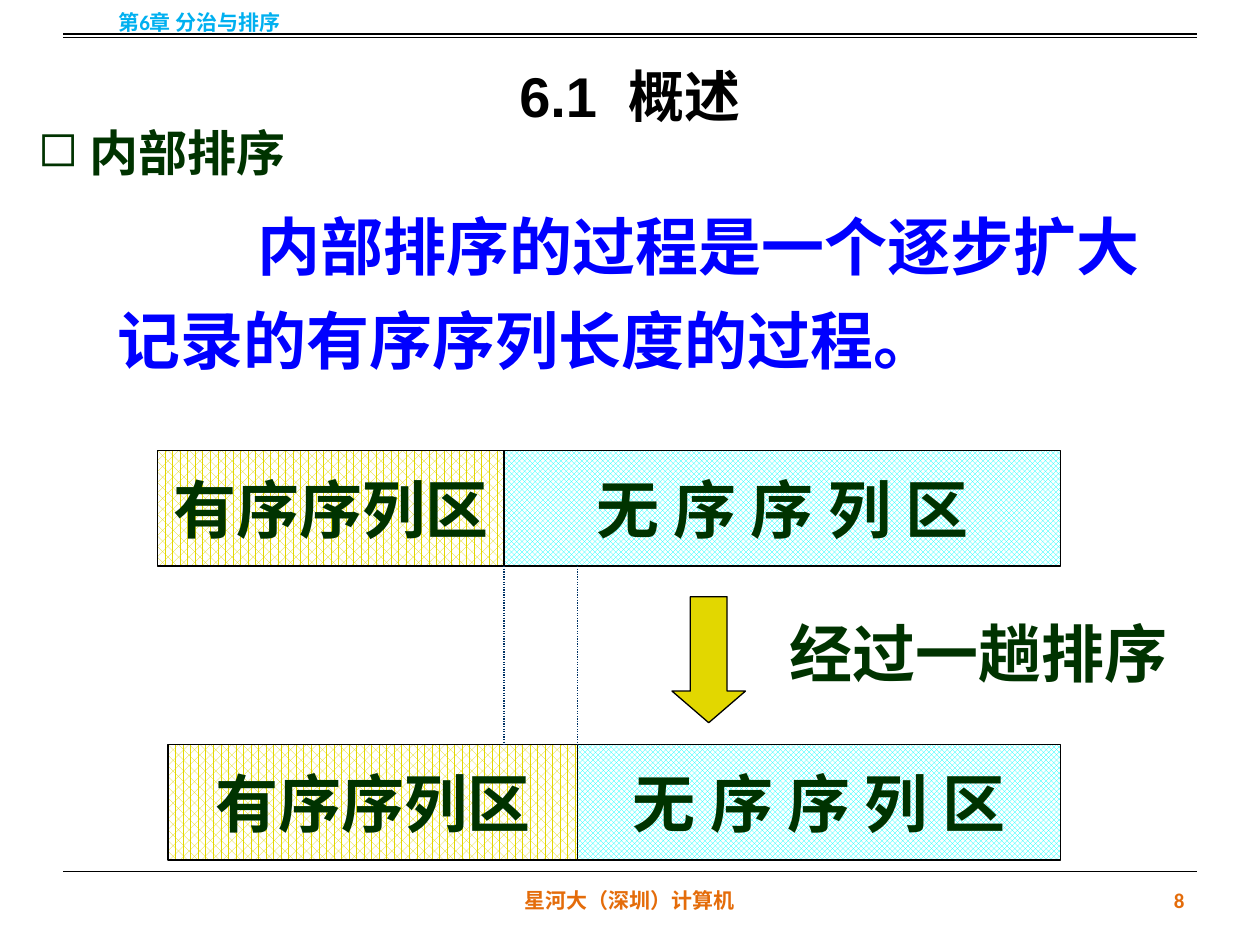
from lxml import etree
from pptx import Presentation
from pptx import util as u
from pptx.dml import color
from pptx.enum import dml, shapes, text
from pptx.oxml import ns

Pt = u.Pt
CJK = "Noto Sans CJK SC"
SERIF = "Times New Roman"
BLACK, GREEN, ORANGE = "000000", "003300", "E46C0A"
AL = text.PP_ALIGN


def rgb(value):
    return color.RGBColor.from_string(value)


def write(sp, content, size=36, font=SERIF, fg=GREEN, align=AL.LEFT,
          anchor=text.MSO_ANCHOR.TOP, wrap=True, spacing=None):
    tf = sp.text_frame
    tf.word_wrap = wrap
    tf.vertical_anchor = anchor
    for i, line in enumerate(content.split("\n")):
        p = tf.add_paragraph() if i else tf.paragraphs[0]
        p.alignment = align
        p.line_spacing = spacing
        r = p.add_run()
        r.text = line
        r.font.size = Pt(size)
        r.font.name = font
        r.font.bold = True
        r.font.color.rgb = rgb(fg)
        ea = etree.SubElement(r.font._element, ns.qn("a:ea"))
        ea.set("typeface", CJK)
    return tf


def add_text(s, x, y, w, h, content, **fmt):
    sp = s.shapes.add_textbox(Pt(x), Pt(y), Pt(w), Pt(h))
    return write(sp, content, **fmt)


def indent(p, margin, first):
    pPr = p._p.get_or_add_pPr()
    pPr.set("marL", str(Pt(margin)))
    pPr.set("indent", str(Pt(first)))
    return pPr


def add_line(s, x1, y1, x2, y2, fg=BLACK, dash=None):
    ln = s.shapes.add_connector(shapes.MSO_CONNECTOR.STRAIGHT,
                                Pt(x1), Pt(y1), Pt(x2), Pt(y2))
    ln.line.color.rgb = rgb(fg)
    ln.line.width = Pt(0.75)
    ln.line.dash_style = dash
    etree.SubElement(ln._element.spPr, ns.qn("a:effectLst"))


def add_box(s, kind, x, y, w, h, fg, pattern=None):
    sp = s.shapes.add_shape(kind, Pt(x), Pt(y), Pt(w), Pt(h))
    sp.shadow.inherit = False
    sp.line.color.rgb = rgb(BLACK)
    sp.line.width = Pt(0.75)
    if pattern is None:
        sp.fill.solid()
        sp.fill.fore_color.rgb = rgb(fg)
    else:
        sp.fill.patterned()
        sp.fill.pattern = pattern
        sp.fill.fore_color.rgb = rgb(fg)
        sp.fill.back_color.rgb = rgb("FFFFFF")
    return sp


def header(s, x, y, w):
    for dy in (19.5, 21.5):
        add_line(s, x, y + dy, x + w, y + dy)
    add_text(s, x - 36, y - 2, 228, 29, "第6章 分治与排序", size=12, font="Calibri",
             fg="00B0F0", align=AL.CENTER, anchor=text.MSO_ANCHOR.MIDDLE)
    add_text(s, x, y, w, 90, "6.1  概述", size=32, font="Arial", fg=BLACK,
             align=AL.CENTER, anchor=text.MSO_ANCHOR.MIDDLE, spacing=1.5)


def footer(s, x, y, w):
    fmt = dict(size=12, font="Calibri", fg=ORANGE, anchor=text.MSO_ANCHOR.MIDDLE)
    add_line(s, x, y, x + w, y)
    add_text(s, x + (w - 228) / 2, y + 2, 228, 29, "星河大（深圳）计算机",
             align=AL.CENTER, **fmt)
    add_text(s, x + w - 168, y + 2, 168, 29, "8", align=AL.RIGHT, **fmt)


def statement(s, x, y, w):
    tf = add_text(s, x, y, w - 147, 41, " 内部排序", size=28)
    pPr = indent(tf.paragraphs[0], 17, -17)
    etree.SubElement(pPr, ns.qn("a:buChar")).set("char", "◻")
    tf = add_text(s, x + 45.5, y + 37.5, w - 45.5, 118,
                  "内部排序的过程是一个逐步扩大\n记录的有序序列长度的过程。",
                  fg="0000FF", spacing=1.25)
    indent(tf.paragraphs[0], 0, 80)


def sequence_row(s, left, split, right, y, h):
    parts = (
        (left, split, "有序序列区", SERIF, "E2D700", dml.MSO_PATTERN.PERCENT_60),
        (split, right, "无 序 序 列 区", CJK, "00FFFF", dml.MSO_PATTERN.TRELLIS),
    )
    for x1, x2, label, font, fg, pattern in parts:
        sp = add_box(s, shapes.MSO_SHAPE.RECTANGLE, x1, y, x2 - x1, h, fg, pattern)
        write(sp, label, font=font, align=AL.CENTER,
              anchor=text.MSO_ANCHOR.MIDDLE, wrap=False)


def sorting_pass(s, x, y, w, h):
    row_h = 66
    top, bottom = y + row_h, y + h - row_h
    splits = (x + 198, x + 240)
    add_text(s, x + 354, top + 24, 276, 50, "经过一趟排序")
    sequence_row(s, x, splits[0], x + w, y, row_h)
    sequence_row(s, x + 6, splits[1], x + w, bottom, row_h)
    arrow = add_box(s, shapes.MSO_SHAPE.DOWN_ARROW, x + 294, top + 17.5, 42, 72, "E2D700")
    arrow.adjustments[0] = 0.5
    arrow.adjustments[1] = 0.43
    for split in splits:
        add_line(s, split, top, split, bottom, "003366", dml.MSO_LINE.ROUND_DOT)


def main():
    prs = Presentation()
    prs.slide_width, prs.slide_height = Pt(720), Pt(540)
    s = prs.slides.add_slide(prs.slide_layouts[6])
    header(s, 36, 0, 648)
    footer(s, 36, 498, 648)
    statement(s, 14.5, 66.5, 663)
    sorting_pass(s, 90, 257.5, 516, 234)
    prs.save("out.pptx")


if __name__ == "__main__":
    main()
